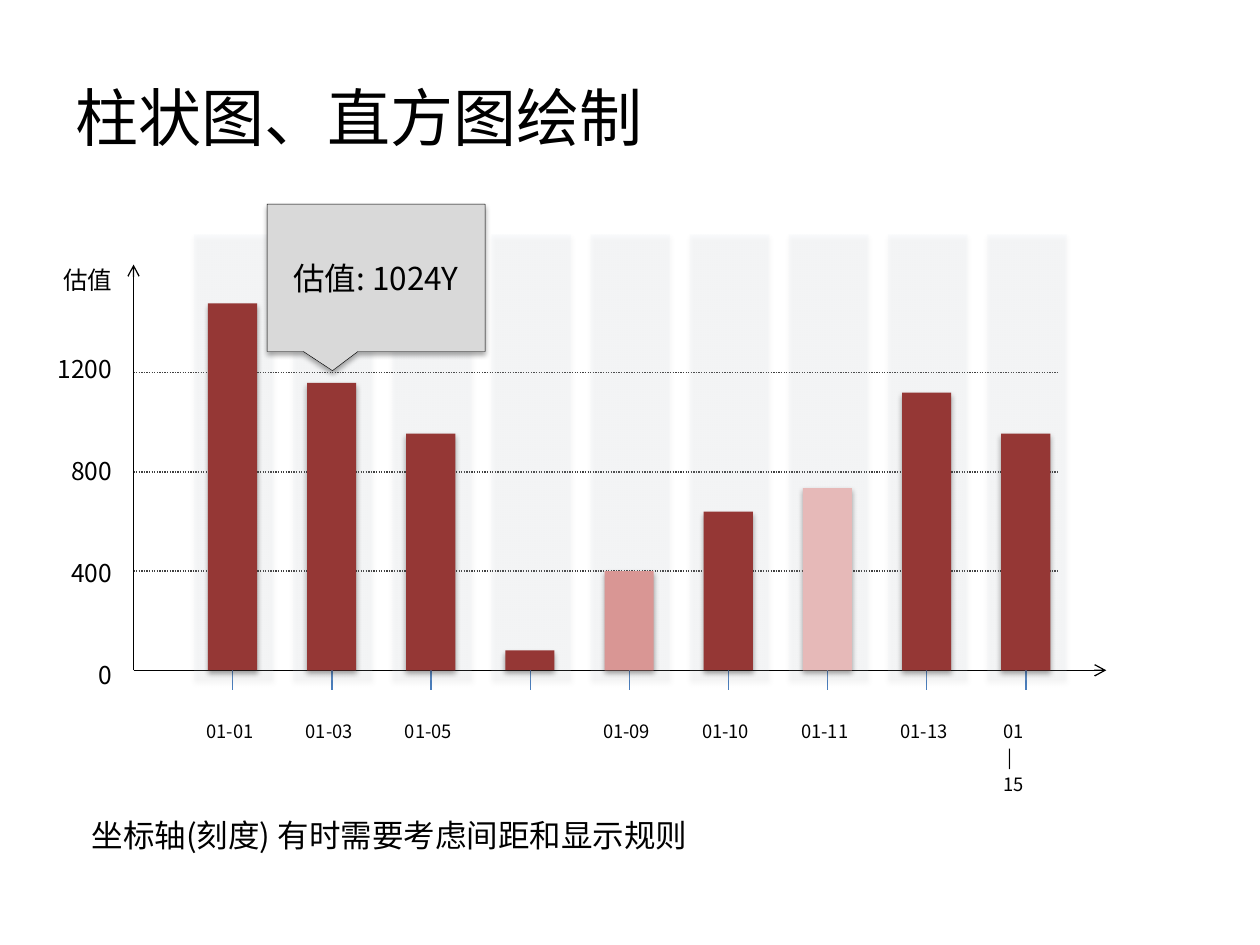
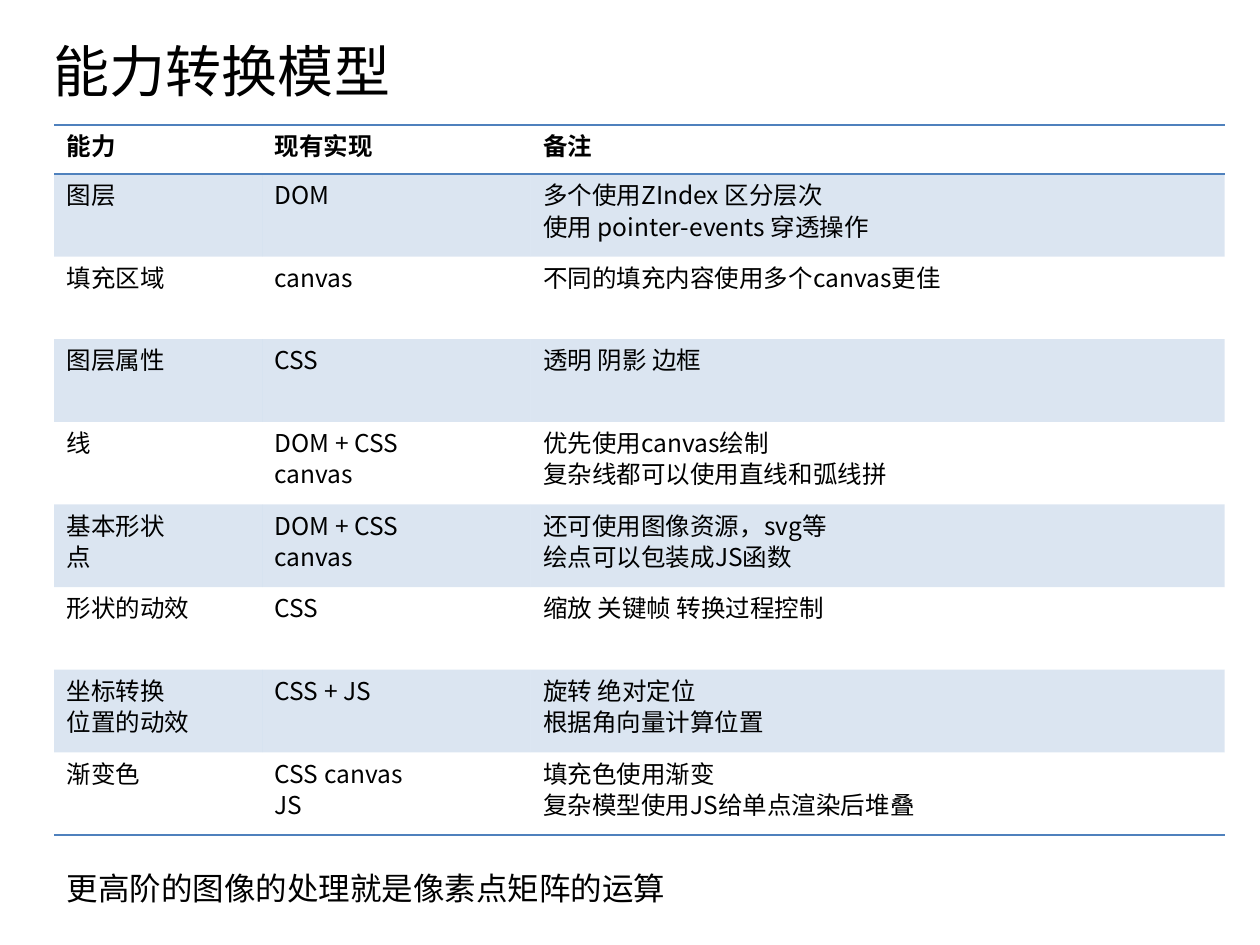
import lxml.etree
import pptx
import pptx.dml.color
import pptx.enum.dml
import pptx.enum.shapes
import pptx.enum.text
import pptx.oxml.ns
import pptx.util

FONT = "Noto Sans CJK SC"
HUES = {"ink": "000000", "tick": "4B7EBC", "dots": "404040", "band": "DCE6F2",
        "bar": "953735", "rose": "D99694", "pale": "E6B9B8", "note": "D9D9D9",
        "blue": "4F81BD"}
WIDE, HIGH = pptx.util.Inches(10), pptx.util.Inches(7.5)
COLS, ROWS = 100, 75
NO_GRID = "{2D5ABB26-0587-4C30-8999-92F81FD0307C}"
KINDS = pptx.enum.shapes.MSO_SHAPE
ALIGN = pptx.enum.text.PP_ALIGN
ANCHOR = pptx.enum.text.MSO_ANCHOR

STEP = 7.87
DAYS = [("01-01", 1480, "bar"), ("01-03", 1160, "bar"), ("01-05", 955, "bar"),
        ("", 80, "bar"), ("01-09", 400, "rose"), ("01-10", 640, "bar"),
        ("01-11", 735, "pale"), ("01-13", 1120, "bar"), ("01\n|\n15", 955, "bar")]
SCALE = ["估值", "1200", "800", "400", "0"]
SKILLS = [
    ("能力", "现有实现", "备注"),
    ("图层", "DOM", "多个使用ZIndex 区分层次\n使用 pointer-events 穿透操作"),
    ("填充区域", "canvas", "不同的填充内容使用多个canvas更佳"),
    ("图层属性", "CSS", "透明 阴影 边框"),
    ("线", "DOM + CSS\ncanvas", "优先使用canvas绘制\n复杂线都可以使用直线和弧线拼"),
    ("基本形状\n点", "DOM + CSS\ncanvas", "还可使用图像资源，svg等\n绘点可以包装成JS函数"),
    ("形状的动效", "CSS", "缩放 关键帧 转换过程控制"),
    ("坐标转换\n位置的动效", "CSS + JS", "旋转 绝对定位\n根据角向量计算位置"),
    ("渐变色", "CSS canvas\nJS", "填充色使用渐变\n复杂模型使用JS给单点渲染后堆叠"),
]


def across(cols):
    """Turn grid columns into a length."""
    return int(WIDE * cols / COLS)


def down(rows):
    """Turn grid rows into a length."""
    return int(HIGH * rows / ROWS)


def place(box):
    """Turn a grid box into left, top, width and height."""
    left, top, wide, high = box
    return across(left), down(top), across(wide), down(high)


def tone(name):
    """Look up a colour by name."""
    return pptx.dml.color.RGBColor.from_string(HUES[name])


def add(node, tag, **attrs):
    """Append a drawing element with attributes."""
    return lxml.etree.SubElement(node, pptx.oxml.ns.qn(tag), attrs)


def fade(node, share):
    """Give the fill colour in a node an opacity in percent."""
    add(node.find(".//" + pptx.oxml.ns.qn("a:srgbClr")), "a:alpha", val=str(share * 1000))


def write(para, text, size, bold=False, align=None, space=None):
    """Fill a paragraph run by run, with a break at each new line."""
    para.alignment = align
    para.line_spacing = space and pptx.util.Pt(space)
    for num, line in enumerate(text.split("\n")):
        if num:
            para.add_line_break()
        run = para.add_run()
        run.text = line
        font = run.font
        font.size, font.bold, font.name = pptx.util.Pt(size), bold, FONT
        font.color.rgb = tone("ink")
        add(run.font._element, "a:ea", typeface=FONT)


def label(slide, box, text, size, anchor=ANCHOR.TOP, grow=False, space=None):
    """Add a wrapping text box."""
    frame = slide.shapes.add_textbox(*place(box)).text_frame
    frame.word_wrap = True
    frame.vertical_anchor = anchor
    if grow:
        frame.auto_size = pptx.enum.text.MSO_AUTO_SIZE.SHAPE_TO_FIT_TEXT
    write(frame.paragraphs[0], text, size, space=space)


def title(slide, box, text, size):
    """Add a slide title."""
    label(slide, box, text, size, ANCHOR.MIDDLE)


def rule(slide, start, end, hue, dash=None, arrow=False):
    """Draw a straight line between two grid points."""
    line = slide.shapes.add_connector(
        pptx.enum.shapes.MSO_CONNECTOR.STRAIGHT,
        across(start[0]), down(start[1]), across(end[0]), down(end[1]))
    line.line.color.rgb = tone(hue)
    line.line.width = pptx.util.Pt(0.75)
    if dash:
        line.line.dash_style = dash
    props = line.element.spPr
    if arrow:
        add(props.find(pptx.oxml.ns.qn("a:ln")), "a:tailEnd", type="arrow")
    add(props, "a:effectLst")


def block(slide, box, hue, kind=KINDS.RECTANGLE, dark=35, drop=1.8):
    """Add a filled shape with a soft shadow below it."""
    shape = slide.shapes.add_shape(kind, *place(box))
    shape.fill.solid()
    shape.fill.fore_color.rgb = tone(hue)
    shape.line.fill.background()
    shape.shadow.inherit = False
    soft = add(shape.element.spPr.find(pptx.oxml.ns.qn("a:effectLst")), "a:outerShdw",
               blurRad=str(pptx.util.Pt(3.1)), dist=str(pptx.util.Pt(drop)),
               dir="5400000", rotWithShape="0")
    add(add(soft, "a:srgbClr", val=HUES["ink"]), "a:alpha", val=str(dark * 1000))
    return shape


def grid(slide, box, wides, highs):
    """Add a plain table with the given column widths and row heights."""
    frame = slide.shapes.add_table(len(highs), len(wides), *place(box))
    frame.element.xpath(".//a:tableStyleId")[0].text = NO_GRID
    table = frame.table
    table.first_row = table.horz_banding = False
    for col, wide in zip(table.columns, wides):
        col.width = across(wide)
    for row, high in zip(table.rows, highs):
        row.height = down(high)
    for cell in table.iter_cells():
        cell.fill.background()
    return table


def edge(cell, tag):
    """Draw one blue border of a cell."""
    line = lxml.etree.Element(pptx.oxml.ns.qn(tag), w=str(pptx.util.Pt(1)))
    add(add(line, "a:solidFill"), "a:srgbClr", val=HUES["blue"])
    cell._tc.get_or_add_tcPr().insert(0, line)


def axes(slide, box):
    """Draw both axes, the ticks and the guide lines."""
    left, top, wide, high = box
    base = top + high
    rule(slide, (left, base), (left, top), "ink", arrow=True)
    rule(slide, (left, base), (left + wide, base), "ink", arrow=True)
    for num in range(len(DAYS)):
        tick = left + STEP * (num + 1)
        rule(slide, (tick, base), (tick, base + 1.6), "tick")
    for num in (3, 2, 1):
        level = base - STEP * num
        rule(slide, (left, level), (left + 73.3, level), "dots",
             pptx.enum.dml.MSO_LINE.ROUND_DOT)


def names(slide, box):
    """Add the label tables along both axes."""
    left, top, wide, high = box
    count = len(DAYS)
    table = grid(slide, (left + 4.8, top + high + 3.2, STEP * count, 8), [STEP] * count, [8])
    for cell, day in zip(table.iter_cells(), DAYS):
        parts = day[0].split("\n")
        frame = cell.text_frame
        for num, part in enumerate(parts):
            para = frame.add_paragraph() if num else frame.paragraphs[0]
            if part:
                write(para, part, 10.5)
            if len(parts) > 1:
                inset = across(0.6 if part == "|" else 0.3)
                para._p.get_or_add_pPr().set("marL", str(inset))
    highs = [7.1, 8.1, 8.1, 8.1, 5.7]
    table = grid(slide, (left - 8.6, top - 0.8, 7.9, sum(highs)), [7.9], highs)
    for cell, text in zip(table.iter_cells(), SCALE):
        write(cell.text_frame.paragraphs[0], text, 14, align=ALIGN.RIGHT)


def bars(slide, box):
    """Draw the backing bands and the bars over them."""
    left, top, wide, high = box
    base = top + high
    for num in range(len(DAYS)):
        band = block(slide, (left + 4.8 + STEP * num, top - 2.4, 6.3, 35.4), "band",
                     dark=38, drop=1.6)
        fade(band.element.spPr, 10)
    for num, (day, value, hue) in enumerate(DAYS):
        rise = STEP * value / 400
        block(slide, (left + 5.9 + STEP * num, base - rise, 3.9, rise), hue)


def tip(slide, box):
    """Add the callout that points at a bar."""
    shape = block(slide, box, "note", KINDS.RECTANGULAR_CALLOUT)
    shape.adjustments[0], shape.adjustments[1] = -0.2, 0.63
    shape.line.color.rgb = tone("ink")
    shape.line.width = pptx.util.Pt(0.25)
    shape.text_frame.word_wrap = True
    shape.text_frame.vertical_anchor = ANCHOR.MIDDLE
    write(shape.text_frame.paragraphs[0], "估值: 1024Y", 18, align=ALIGN.CENTER)


def plot(slide, box):
    """Build the bar plot slide around the box of its axes."""
    left, top, wide, high = box
    title(slide, (5, 3, 90, 12.5), "柱状图、直方图绘制", 36)
    axes(slide, box)
    names(slide, box)
    bars(slide, box)
    tip(slide, (left + 10.6, top - 4.8, 17.3, 11.7))
    label(slide, (left - 4.3, top + high + 11.1, 59.1, 4),
          "坐标轴(刻度) 有时需要考虑间距和显示规则", 18, grow=True)


def model(slide, box):
    """Build the skill table slide around the box of its table."""
    left, top, wide, high = box
    title(slide, (left - 1, top - 8.6, 90, 8.5), "能力转换模型", 32)
    label(slide, (left, top + high + 1.3, 89.8, 4.6),
          "更高阶的图像的处理就是像素点矩阵的运算", 18, grow=True, space=28)
    last = len(SKILLS) - 1
    table = grid(slide, box, [16.5, 21.3, wide - 37.8], [3.9] + [(high - 3.9) / last] * last)
    for row, texts in enumerate(SKILLS):
        for col, text in enumerate(texts):
            cell = table.cell(row, col)
            write(cell.text_frame.paragraphs[0], text, 14, bold=row == 0, space=18)
            if row % 2:
                cell.fill.solid()
                cell.fill.fore_color.rgb = tone("blue")
                fade(cell._tc.tcPr, 20)
            if row in (0, last):
                edge(cell, "a:lnB")
            if row == 0:
                edge(cell, "a:lnT")


def main():
    """Build and save the slides."""
    deck = pptx.Presentation()
    deck.slide_width, deck.slide_height = WIDE, HIGH
    blank = deck.slide_layouts[6]
    plot(deck.slides.add_slide(blank), (10.6, 21, 77.2, 32.2))
    model(deck.slides.add_slide(blank), (4.3, 9.9, 92.9, 56.4))
    deck.save("out.pptx")


if __name__ == "__main__":
    main()
